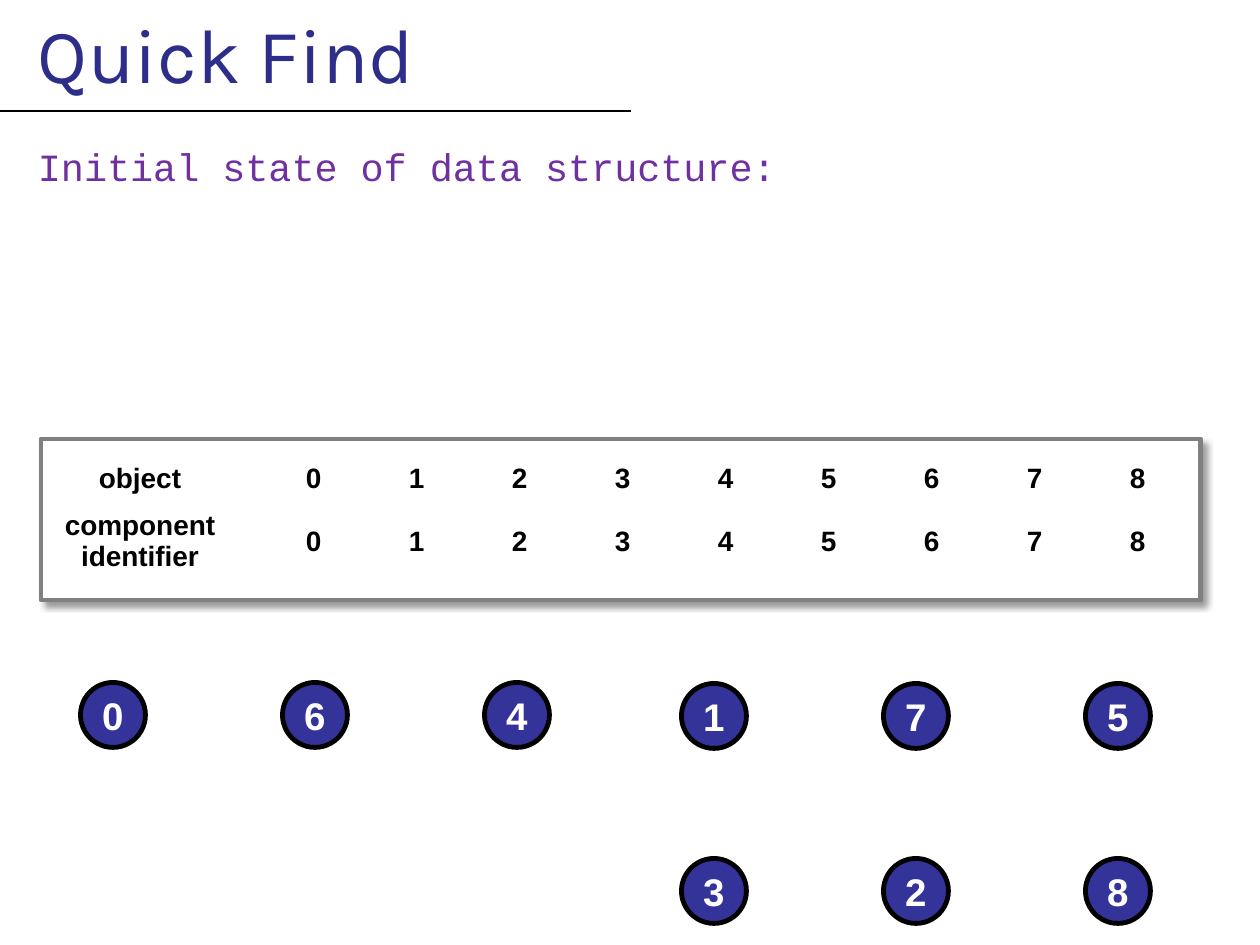
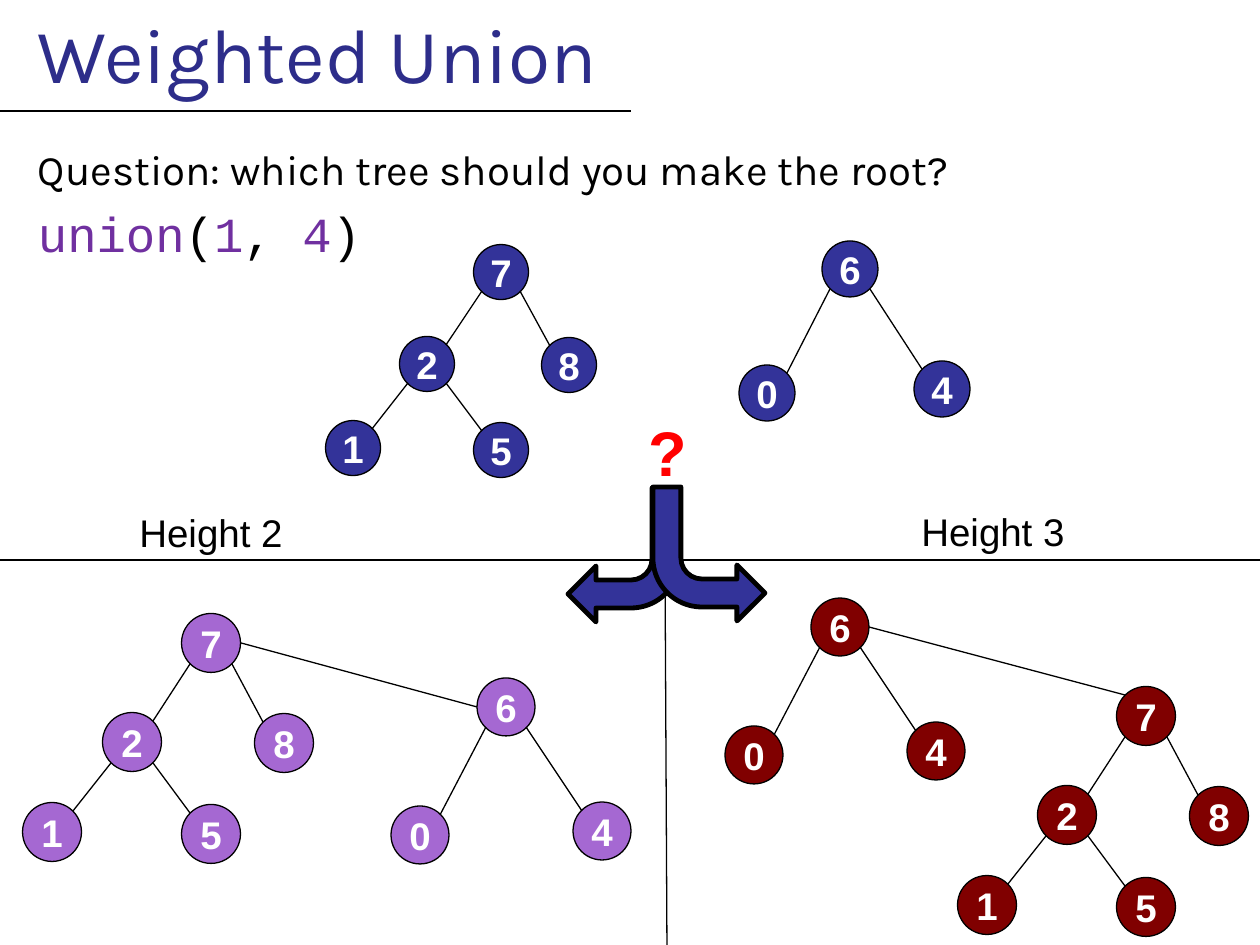
from lxml import etree
from pptx import Presentation
from pptx.dml.color import RGBColor
from pptx.enum.shapes import MSO_CONNECTOR, MSO_SHAPE
from pptx.enum.text import MSO_ANCHOR, PP_ALIGN
from pptx.oxml import parse_xml
from pptx.oxml.ns import nsdecls, qn
from pptx.util import Pt

PX = 7257  # EMU in one px, 126 px to the inch
PAGE_WIDTH, PAGE_HEIGHT = 1260, 945
TEXT_LEFT = 38  # where title and body text start
THIN, RULE, THICK = Pt(0.75), Pt(1.5), Pt(2.75)

STRAIGHT = MSO_CONNECTOR.STRAIGHT
ELLIPSE, RECTANGLE, BENT_ARROW = MSO_SHAPE.OVAL, MSO_SHAPE.RECTANGLE, MSO_SHAPE.BENT_ARROW
TOP, MIDDLE = MSO_ANCHOR.TOP, MSO_ANCHOR.MIDDLE
LEFT, CENTER = PP_ALIGN.LEFT, PP_ALIGN.CENTER

BLACK = RGBColor(0x00, 0x00, 0x00)
WHITE = RGBColor(0xFF, 0xFF, 0xFF)
GRAY = RGBColor(0x80, 0x80, 0x80)
TITLE_BLUE = RGBColor(0x2D, 0x2D, 0x8A)
CODE_PURPLE = RGBColor(0x70, 0x30, 0xA0)
NODE_BLUE = RGBColor(0x33, 0x33, 0x99)
NODE_PURPLE = RGBColor(0xA5, 0x68, 0xD2)
NODE_RED = RGBColor(0x80, 0x00, 0x00)
RED = RGBColor(0xFF, 0x00, 0x00)


def add_line(page, x1, y1, x2, y2, width=THIN):
    line = page.shapes.add_connector(STRAIGHT, x1 * PX, y1 * PX, x2 * PX, y2 * PX)
    line.line.color.rgb = BLACK
    line.line.width = width
    etree.SubElement(line._element.spPr, qn("a:effectLst"))


def add_node(page, x, y, size, digit, color, border=THIN):
    """Draw a numbered circle centred on x, y."""
    radius = size * PX // 2
    node = page.shapes.add_shape(ELLIPSE, x * PX - radius, y * PX - radius,
                                 size * PX, size * PX)
    node.shadow.inherit = False
    node.fill.solid()
    node.fill.fore_color.rgb = color
    node.line.color.rgb = BLACK
    node.line.width = border
    frame = node.text_frame
    frame.margin_left = frame.margin_right = frame.margin_top = frame.margin_bottom = 0
    frame.vertical_anchor = MIDDLE
    frame.text = digit
    para = frame.paragraphs[0]
    para.alignment = CENTER
    font = para.runs[0].font
    font.name, font.size, font.bold = "Arial", Pt(22), True
    font.color.rgb = WHITE


deck = Presentation()
deck.slide_width, deck.slide_height = PAGE_WIDTH * PX, PAGE_HEIGHT * PX

# Shared parts: title, rule and body; a body paragraph is font, size, coloured spans
PAGES = [
    ("Quick Find",
     [("Courier New", 22, [("Initial state of data structure:", CODE_PURPLE)])]),
    ("Weighted Union",
     [("Karla", 24, [("Question: which tree should you make the root?", BLACK)]),
      ("Courier New", 28, [("union", CODE_PURPLE), ("(", BLACK), ("1", CODE_PURPLE),
                           (", ", BLACK), ("4", CODE_PURPLE), (")", BLACK)])]),
]
for title_text, body_paras in PAGES:
    page = deck.slides.add_slide(deck.slide_layouts[5])
    add_line(page, 0, 111, 631, 111, RULE)

    title = page.shapes.title
    title.left, title.top, title.width, title.height = 0, 0, PAGE_WIDTH * PX, 126 * PX
    title.text_frame.text = title_text
    title.text_frame.vertical_anchor = TOP
    title.text_frame.margin_left = TEXT_LEFT * PX
    para = title.text_frame.paragraphs[0]
    para.alignment = LEFT
    para.space_before = Pt(5)
    font = para.runs[0].font
    font.name, font.size = "Karla", Pt(44)
    font.color.rgb = TITLE_BLUE

    body = page.shapes.add_textbox(0, 137 * PX, PAGE_WIDTH * PX, 808 * PX).text_frame
    body.word_wrap = True
    body.margin_left = TEXT_LEFT * PX
    for index, (font_name, size, spans) in enumerate(body_paras):
        para = body.add_paragraph() if index else body.paragraphs[0]
        para.space_before = Pt(size * 0.2)
        for text, color in spans:
            span = para.add_run()
            span.text = text
            span.font.name, span.font.size = font_name, Pt(size)
            span.font.color.rgb = color

find_page, union_page = deck.slides

# Quick Find: shadowed frame behind the table
table_frame = find_page.shapes.add_shape(RECTANGLE, 41 * PX, 439 * PX, 1160 * PX, 161 * PX)
table_frame.fill.solid()
table_frame.fill.fore_color.rgb = WHITE
table_frame.line.color.rgb = GRAY
table_frame.line.width = THICK
table_frame._element.spPr.append(parse_xml(
    f'<a:effectLst {nsdecls("a")}><a:outerShdw blurRad="50800" dist="38100" dir="2700000">'
    '<a:srgbClr val="000000"><a:alpha val="40000"/></a:srgbClr></a:outerShdw></a:effectLst>'))

# Quick Find: each object starts as its own component
objects = [str(number) for number in range(9)]
table_rows = [["object", ""] + objects, ["component\nidentifier", ""] + objects]
column_widths = [184, 29] + [103] * len(objects)
row_heights = [52, 72]
table = find_page.shapes.add_table(
    len(row_heights), len(column_widths), 48 * PX, 453 * PX,
    sum(column_widths) * PX, sum(row_heights) * PX).table
table.first_row = table.horz_banding = False
for column, width in zip(table.columns, column_widths):
    column.width = width * PX
for row, height, texts in zip(table.rows, row_heights, table_rows):
    row.height = height * PX
    for cell, text in zip(row.cells, texts):
        cell.fill.background()
        cell.vertical_anchor = MIDDLE
        cell.margin_top = cell.margin_bottom = 3 * PX
        cell.text_frame.text = text
        for para in cell.text_frame.paragraphs:
            para.alignment = CENTER
            for span in para.runs:
                span.font.name, span.font.size, span.font.bold = "Arial", Pt(16), True
                span.font.color.rgb = BLACK

# Quick Find: rows of unconnected nodes, each starting at left and running in equal steps
NODE_STEP = 202
NODE_ROWS = [(113, 715, "064"), (714, 716, "175"), (714, 891, "328")]
for left, y, row_digits in NODE_ROWS:
    for step, digit in enumerate(row_digits):
        add_node(find_page, left + step * NODE_STEP, y, 65, digit, NODE_BLUE, THICK)

# Weighted Union: tree shapes, as digit: (parent, x, y) in node sizes from the root
TREE_OF_7 = {"7": (None, 0, 0), "2": ("7", -1.34, 1.68), "8": ("7", 1.24, 1.69),
             "1": ("2", -2.7, 3.2), "5": ("2", 0, 3.23)}
TREE_OF_6 = {"6": (None, 0, 0), "0": ("6", -1.48, 2.21), "4": ("6", 1.65, 2.14)}

# Each tree: shape, root centre, node size, colour
TREES = [
    (TREE_OF_7, 211, 643, 59, NODE_PURPLE),
    (TREE_OF_6, 506, 707, 58, NODE_PURPLE),
    (TREE_OF_6, 840, 627, 58, NODE_RED),
    (TREE_OF_7, 1146, 716, 59, NODE_RED),
    (TREE_OF_6, 850, 269, 56, NODE_BLUE),
    (TREE_OF_7, 501, 272, 55, NODE_BLUE),
]
for tree, root_x, root_y, size, color in TREES:
    rim = round(size * 0.35)  # across and down from a centre to the rim at 45 degrees
    centers = {}
    for digit, (parent, across, down) in tree.items():
        x, y = root_x + round(across * size), root_y + round(down * size)
        centers[digit] = x, y
        add_node(union_page, x, y, size, digit, color)
        if parent:
            parent_x, parent_y = centers[parent]
            side = rim if x > parent_x else -rim
            add_line(union_page, parent_x + side, parent_y + rim, x - side, y - rim)

# Weighted Union: links between the joined trees
add_line(union_page, 241, 643, 477, 707)
add_line(union_page, 869, 627, 1125, 695)

# Weighted Union: dividers between the question and the two choices
add_line(union_page, 665, 558, 667, PAGE_HEIGHT)
add_line(union_page, 0, 560, PAGE_WIDTH, 560)

# Weighted Union: arrows to both choices, the right one mirrored
for left, top, mirrored in [(568, 488, False), (653, 487, True)]:
    arrow = union_page.shapes.add_shape(BENT_ARROW, left * PX, top * PX, 112 * PX, 134 * PX)
    arrow.rotation = 180
    if mirrored:
        arrow._element.spPr.xfrm.set("flipH", "1")
    arrow.shadow.inherit = False
    arrow.fill.solid()
    arrow.fill.fore_color.rgb = NODE_BLUE
    arrow.line.color.rgb = BLACK
    arrow.line.width = THICK

# Weighted Union: question mark and heights
LABELS = [
    ("?", 636, 407, 64, 89, 36, RED, True),
    ("Height 2", 127, 503, 170, 59, 22, BLACK, False),
    ("Height 3", 909, 502, 170, 59, 22, BLACK, False),
]
for text, left, top, width, height, size, color, bold in LABELS:
    label = union_page.shapes.add_textbox(left * PX, top * PX, width * PX, height * PX)
    label.text_frame.text = text
    font = label.text_frame.paragraphs[0].runs[0].font
    font.name, font.size, font.bold = "Arial", Pt(size), bold
    font.color.rgb = color

deck.save("out.pptx")
